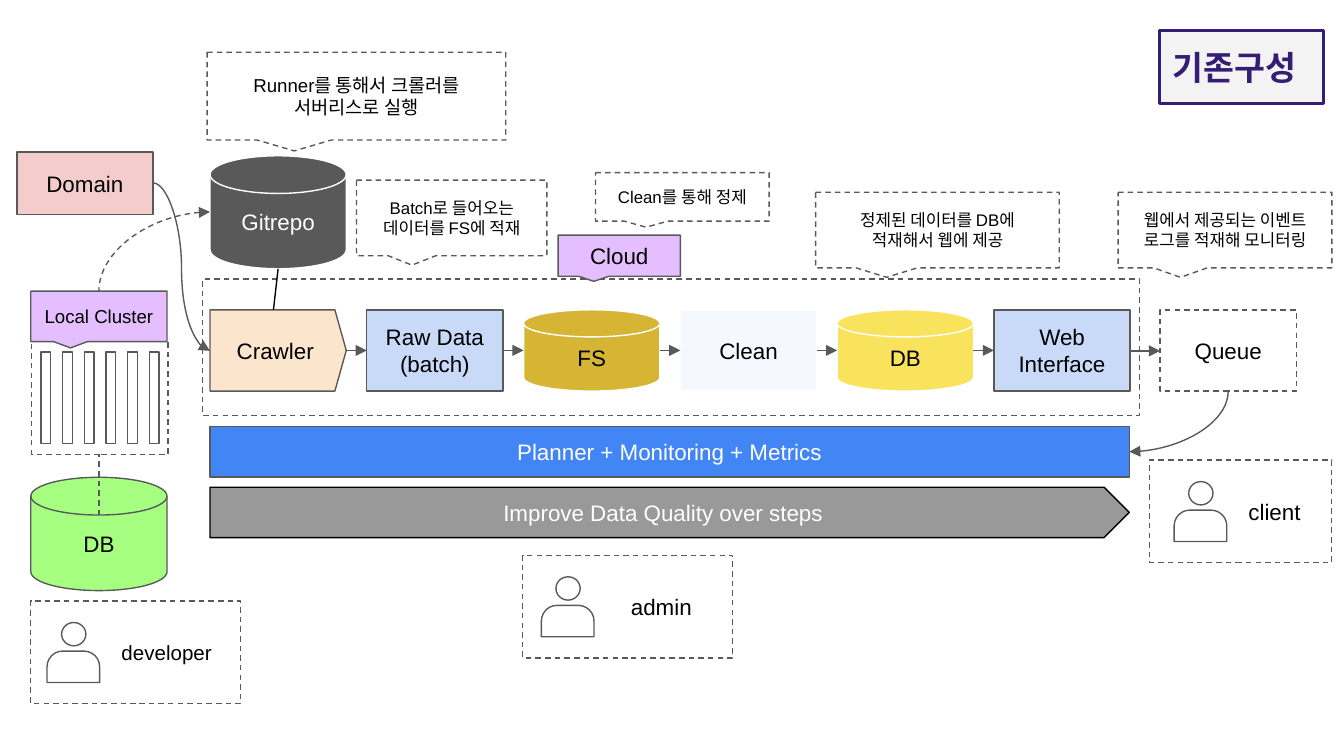
from lxml import etree
from pptx import Presentation
from pptx.dml.color import RGBColor
from pptx.enum import dml, shapes, text
from pptx.oxml import ns
from pptx.util import Pt

SHAPE = shapes.MSO_SHAPE
LINK = shapes.MSO_CONNECTOR
COLORS = {
    "white": "FFFFFF", "black": "000000", "gray": "595959", "band": "999999",
    "pink": "F4CCCC", "blue": "4285F4", "green": "A6FF80", "lilac": "E5BEFF",
    "gold": "D6B534", "sky": "C9DAF8", "pale": "F5F9FF", "yellow": "F9E25C",
    "peach": "FCE5CD", "purple": "351C75", "light": "F3F3F3",
}


def rgb(name):
    return RGBColor.from_string(COLORS[name])


def style_line(line, color="gray", dash=False, width=0.75):
    line.color.rgb = rgb(color)
    line.width = Pt(width)
    if dash:
        line.dash_style = dml.MSO_LINE.DASH


def write(tf, label, size, color="black", bold=False, align=text.PP_ALIGN.CENTER):
    tf.text = label
    tf.word_wrap = True
    tf.vertical_anchor = text.MSO_ANCHOR.MIDDLE
    tf.margin_left = tf.margin_right = tf.margin_top = tf.margin_bottom = Pt(7.2)
    for p in tf.paragraphs:
        p.alignment = align
        p.font.name = "Arial"
        p.font.size = Pt(size)
        p.font.bold = bold
        p.font.color.rgb = rgb(color)


def add_box(s, kind, x, y, w, h, label="", fill="white", line="gray",
            dash=False, size=12, color="black"):
    sp = s.shapes.add_shape(kind, Pt(x), Pt(y), Pt(w), Pt(h))
    sp.shadow.inherit = False
    if fill:
        sp.fill.solid()
        sp.fill.fore_color.rgb = rgb(fill)
    else:
        sp.fill.background()
    style_line(sp.line, line, dash)
    if label:
        write(sp.text_frame, label, size, color)
    return sp


def add_link(s, kind, x1, y1, x2, y2, color="gray", dash=False, end=None, quarter=False):
    """Connector; end is headEnd or tailEnd, quarter makes a single bend."""
    cxn = s.shapes.add_connector(kind, Pt(x1), Pt(y1), Pt(x2), Pt(y2))
    style_line(cxn.line, color, dash)
    props = cxn._element.spPr
    if end:
        etree.SubElement(props.find(ns.qn("a:ln")), ns.qn("a:" + end), type="triangle")
    if quarter:
        props.find(ns.qn("a:prstGeom")).set("prst", "curvedConnector2")
    etree.SubElement(props, ns.qn("a:effectLst"))


def add_title(s, x, y, w, h):
    sp = s.shapes.title
    sp.left, sp.top, sp.width, sp.height = Pt(x), Pt(y), Pt(w), Pt(h)
    sp.fill.solid()
    sp.fill.fore_color.rgb = rgb("light")
    style_line(sp.line, "purple", width=1.5)
    write(sp.text_frame, "기존구성", 18, "purple", True, text.PP_ALIGN.LEFT)
    sp.text_frame.auto_size = text.MSO_AUTO_SIZE.NONE


def add_notes(s):
    notes = [
        (111, 28, 160, 47, "Runner를 통해서 크롤러를 서버리스로 실행", 10),
        (191, 96.5, 102, 40.5, "Batch로 들어오는 데이터를 FS에 적재", 9),
        (319, 92.5, 93, 26, "Clean를 통해 정제", 9),
        (437, 103, 130.5, 40.5, "정제된 데이터를 DB에 적재해서 웹에 제공", 9),
        (599, 103, 114.5, 40.5, "웹에서 제공되는 이벤트 로그를 적재해 모니터링", 9),
    ]
    for x, y, w, h, label, size in notes:
        add_box(s, SHAPE.RECTANGULAR_CALLOUT, x, y, w, h, label, dash=True, size=size)


def add_cluster(s, x, y, w, h):
    label_h = 27
    add_box(s, SHAPE.RECTANGLE, x + 0.5, y + label_h, w, h - label_h, dash=True)
    for i in range(6):
        add_box(s, SHAPE.RECTANGLE, x + 5.5 + i * 11.6, y + 32.5, 5.2, 49)
    add_box(s, SHAPE.RECTANGULAR_CALLOUT, x, y, w, label_h, "Local Cluster",
            "lilac", size=10)
    add_box(s, SHAPE.FLOWCHART_MAGNETIC_DISK, x, y + 99.7, w, 60.7, "DB", "green")
    add_link(s, LINK.STRAIGHT, x + w / 2, y + 120, x + w / 2, y + h, dash=True)


def add_pipeline(s, x, y, w, h):
    """Dashed frame holding six steps, joined by arrows."""
    add_box(s, SHAPE.RECTANGLE, x, y, w, h, fill=None, dash=True)
    steps = [
        (SHAPE.PENTAGON, "Crawler", "peach", "gray"),
        (SHAPE.RECTANGLE, "Raw Data\n(batch)", "sky", "gray"),
        (SHAPE.FLOWCHART_MAGNETIC_DISK, "FS", "gold", "white"),
        (SHAPE.RECTANGLE, "Clean", "pale", "white"),
        (SHAPE.FLOWCHART_MAGNETIC_DISK, "DB", "yellow", "white"),
        (SHAPE.RECTANGLE, "Web Interface", "sky", "gray"),
    ]
    pitch, step_w, step_h = 84, 73, 43.5
    left, top = x + 4, y + 16.5
    middle = top + step_h / 2
    for i, (kind, label, fill, line) in enumerate(steps):
        sp = add_box(s, kind, left + i * pitch, top, step_w, step_h, label, fill, line)
        if kind == SHAPE.PENTAGON:
            sp.adjustments[0] = 0.14
        if i:
            start = left + i * pitch
            add_link(s, LINK.CURVE, start - pitch + step_w, middle, start, middle,
                     end="tailEnd")


def add_bands(s, x, y, w, h):
    add_box(s, SHAPE.RECTANGLE, x, y, w, h, "Planner + Monitoring + Metrics",
            "blue", color="white")
    add_box(s, SHAPE.PENTAGON, x, y + 32.5, w, h, "Improve Data Quality over steps",
            "band", "black", color="white")


def add_person(s, x, y, w, h, label, icon_left, size=12):
    sp = add_box(s, SHAPE.RECTANGLE, x, y, w, h, label, None, dash=True, size=size)
    sp.text_frame.margin_left = Pt(7.2 + 3 * size)
    add_box(s, SHAPE.FLOWCHART_CONNECTOR, x + icon_left + 7.8, y + 11.5, 13, 12.5)
    body = add_box(s, SHAPE.ROUND_2_SAME_RECTANGLE, x + icon_left, y + 26.8, 28.2, 16.8)
    body.adjustments[0] = 0.5


def add_outer_systems(s):
    add_box(s, SHAPE.RECTANGLE, 9, 81.5, 73, 33.5, "Domain", "pink")
    add_box(s, SHAPE.FLOWCHART_MAGNETIC_DISK, 112.5, 83.5, 73, 60.5, "Gitrepo",
            "gray", "white", color="white")
    add_box(s, SHAPE.RECTANGULAR_CALLOUT, 299, 126, 65.5, 22, "Cloud", "lilac")
    add_box(s, SHAPE.RECTANGLE, 621.5, 166, 73, 43.5, "Queue", dash=True)
    # Links into and out of the pipeline
    add_link(s, LINK.CURVE, 82, 98, 112.5, 188, end="tailEnd")
    add_link(s, LINK.STRAIGHT, 146.5, 166, 149, 144, "black")
    add_link(s, LINK.CURVE, 112.5, 113.5, 53, 156, dash=True, end="headEnd", quarter=True)
    add_link(s, LINK.CURVE, 605.5, 188, 621.5, 188, end="tailEnd")
    add_link(s, LINK.CURVE, 605, 242, 658, 209.5, end="headEnd", quarter=True)


def main():
    prs = Presentation()
    prs.slide_width, prs.slide_height = Pt(720), Pt(405)
    s = prs.slides.add_slide(prs.slide_layouts[5])
    add_title(s, 621, 16.3, 88, 39.2)
    add_notes(s)
    add_cluster(s, 16.5, 156, 73, 87.5)
    add_pipeline(s, 108.5, 149.5, 502, 73)
    add_bands(s, 112.5, 228.5, 492.5, 27)
    add_outer_systems(s)
    # People
    add_person(s, 16.5, 322, 112.5, 55, "developer", 8.7, 11)
    add_person(s, 280, 297.5, 112.5, 55, "admin", 10)
    add_person(s, 616, 246.5, 97.5, 55, "client", 13)
    prs.save("out.pptx")


if __name__ == "__main__":
    main()
